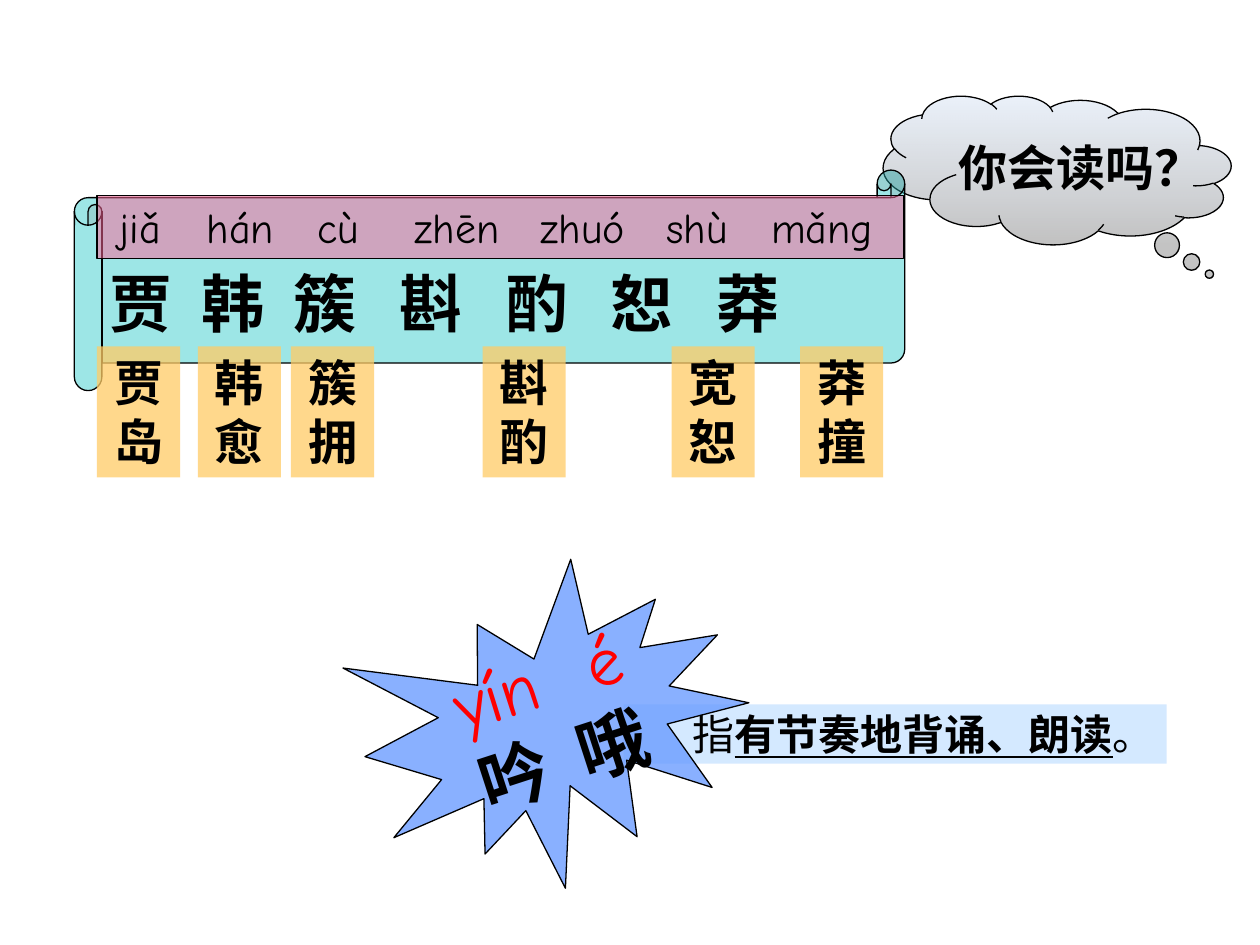
from dataclasses import dataclass

import pptx
import pptx.dml.color
import pptx.enum.shapes
import pptx.enum.text
import pptx.oxml.ns
import pptx.util
from lxml import etree

Inches = pptx.util.Inches
MSO_SHAPE = pptx.enum.shapes.MSO_SHAPE
PP_ALIGN = pptx.enum.text.PP_ALIGN
MSO_ANCHOR = pptx.enum.text.MSO_ANCHOR
qn = pptx.oxml.ns.qn

CJK = "Noto Sans CJK SC"


@dataclass
class Box:
    left: float
    top: float
    width: float
    height: float


@dataclass
class Run:
    text: str
    size: float
    font: str = "Arial"
    color: str = "000000"
    bold: bool = False
    underline: bool = False


@dataclass
class WordCard:
    left: float
    word: str


CARDS = [
    WordCard(0.77, "贾岛"),
    WordCard(1.57, "韩愈"),
    WordCard(2.31, "簇拥"),
    WordCard(3.83, "斟酌"),
    WordCard(5.33, "宽恕"),
    WordCard(6.35, "莽撞"),
]
PINYIN = ["jiǎ", "hán", "cù", "zhēn", "zhuó", "shù", "mǎng"]
PINYIN_STOPS = [0.69, 1.57, 2.34, 3.34, 4.34, 5.17]
CHARACTERS = ["贾", "韩", "簇", "斟", "酌", "恕", "莽"]
CHARACTER_STOPS = [0.73, 1.46, 2.3, 3.14, 3.98, 4.82]


def rgb(color: str) -> pptx.dml.color.RGBColor:
    return pptx.dml.color.RGBColor.from_string(color)


def set_alpha(sp, *percents: int) -> None:
    colors = sp.element.spPr.iter(qn("a:srgbClr"))
    for color, percent in zip(colors, percents):
        etree.SubElement(color, qn("a:alpha")).set("val", str(percent * 1000))


def add_shape(parent, kind, box: Box, fill: str, alpha: int, outlined: bool = False):
    sp = parent.shapes.add_shape(
        kind, Inches(box.left), Inches(box.top), Inches(box.width), Inches(box.height)
    )
    sp.shadow.inherit = False
    sp.fill.solid()
    sp.fill.fore_color.rgb = rgb(fill)
    set_alpha(sp, alpha)
    if outlined:
        sp.line.color.rgb = rgb("000000")
        sp.line.width = pptx.util.Pt(0.75)
    else:
        sp.line.fill.background()
    return sp


def setup_text(sp, anchor=MSO_ANCHOR.TOP, wrap: bool = True, left: float = 0.1, right: float = 0.1):
    tf = sp.text_frame
    tf.word_wrap = wrap
    tf.vertical_anchor = anchor
    tf.margin_left, tf.margin_right = Inches(left), Inches(right)
    tf.margin_top = tf.margin_bottom = Inches(0.05)
    return tf


def write(p, runs: list[Run], align=PP_ALIGN.CENTER, stops: tuple | list = ()) -> None:
    p.alignment = align
    if stops:
        tabs = etree.SubElement(p._p.get_or_add_pPr(), qn("a:tabLst"))
        for stop in stops:
            etree.SubElement(tabs, qn("a:tab"), pos=str(Inches(stop)), algn="l")
    for run in runs:
        r = p.add_run()
        r.text = run.text
        r.font.size = pptx.util.Pt(run.size)
        r.font.name = run.font
        r.font.bold = run.bold
        r.font.underline = run.underline
        r.font.color.rgb = rgb(run.color)
        etree.SubElement(r._r.get_or_add_rPr(), qn("a:ea")).set("typeface", CJK)


def add_cloud(s) -> None:
    sp = add_shape(s, MSO_SHAPE.CLOUD_CALLOUT, Box(7.01, 0.76, 2.76, 1.18), "CFDEF3", 42, True)
    sp.adjustments[0], sp.adjustments[1] = -0.438, 0.7
    sp.element.spPr.find(qn("a:xfrm")).set("flipH", "1")
    sp.fill.gradient()
    sp.fill.gradient_angle = 270
    for stop, color in zip(sp.fill.gradient_stops, ("CFDEF3", "777777")):
        stop.color.rgb = rgb(color)
    set_alpha(sp, 42, 45)
    tf = setup_text(sp, MSO_ANCHOR.MIDDLE, wrap=False, left=0.28)
    write(tf.paragraphs[0], [Run("你会读吗？", 28, CJK, bold=True)])


def add_scroll(s) -> None:
    add_shape(s, MSO_SHAPE.HORIZONTAL_SCROLL, Box(0.59, 1.35, 6.59, 1.75), "33CCCC", 48, True)
    tb = s.shapes.add_textbox(Inches(0.77), Inches(2.05), Inches(6.4), Inches(0.7))
    write(setup_text(tb).paragraphs[0], [Run("\t".join(CHARACTERS), 36, CJK, bold=True)],
          PP_ALIGN.LEFT, CHARACTER_STOPS)
    band = add_shape(s, MSO_SHAPE.RECTANGLE, Box(0.77, 1.55, 6.4, 0.5), "FF6699", 51, True)
    write(setup_text(band, left=0.18).paragraphs[0], [Run("\t".join(PINYIN), 24, "Comic Neue")],
          PP_ALIGN.LEFT, PINYIN_STOPS)


def add_card(s, card: WordCard) -> None:
    sp = add_shape(s, MSO_SHAPE.RECTANGLE, Box(card.left, 2.75, 0.66, 1.04), "FFCC66", 75)
    write(setup_text(sp).paragraphs[0], [Run(card.word, 28, bold=True)])


def add_explanation(s) -> None:
    group = s.shapes.add_group_shape()
    note = add_shape(group, MSO_SHAPE.FLOWCHART_PROCESS, Box(4.95, 5.59, 4.31, 0.47), "99CCFF", 42)
    tf = setup_text(note, MSO_ANCHOR.MIDDLE, wrap=False, left=0.55)
    write(tf.paragraphs[0], [
        Run("指", 24),
        Run("有节奏地背诵、朗读", 24, bold=True, underline=True),
        Run("。", 24),
    ])
    burst = add_shape(group, MSO_SHAPE.EXPLOSION1, Box(2.9, 4.54, 3.03, 2.47), "6699FF", 77, True)
    burst.rotation = 342
    tf = setup_text(burst, MSO_ANCHOR.MIDDLE, left=0.15, right=0)
    write(tf.paragraphs[0], [Run("yín\té", 40, "Comic Neue", "FF0000")], PP_ALIGN.LEFT, [1.1])
    write(tf.add_paragraph(), [Run("吟\t哦", 40, bold=True)], PP_ALIGN.LEFT, [0.82])


def main() -> None:
    prs = pptx.Presentation()
    prs.slide_width, prs.slide_height = Inches(10), Inches(7.5)
    s = prs.slides.add_slide(prs.slide_layouts[6])
    add_cloud(s)
    add_scroll(s)
    for card in CARDS:
        add_card(s, card)
    add_explanation(s)
    prs.save("out.pptx")


if __name__ == "__main__":
    main()
